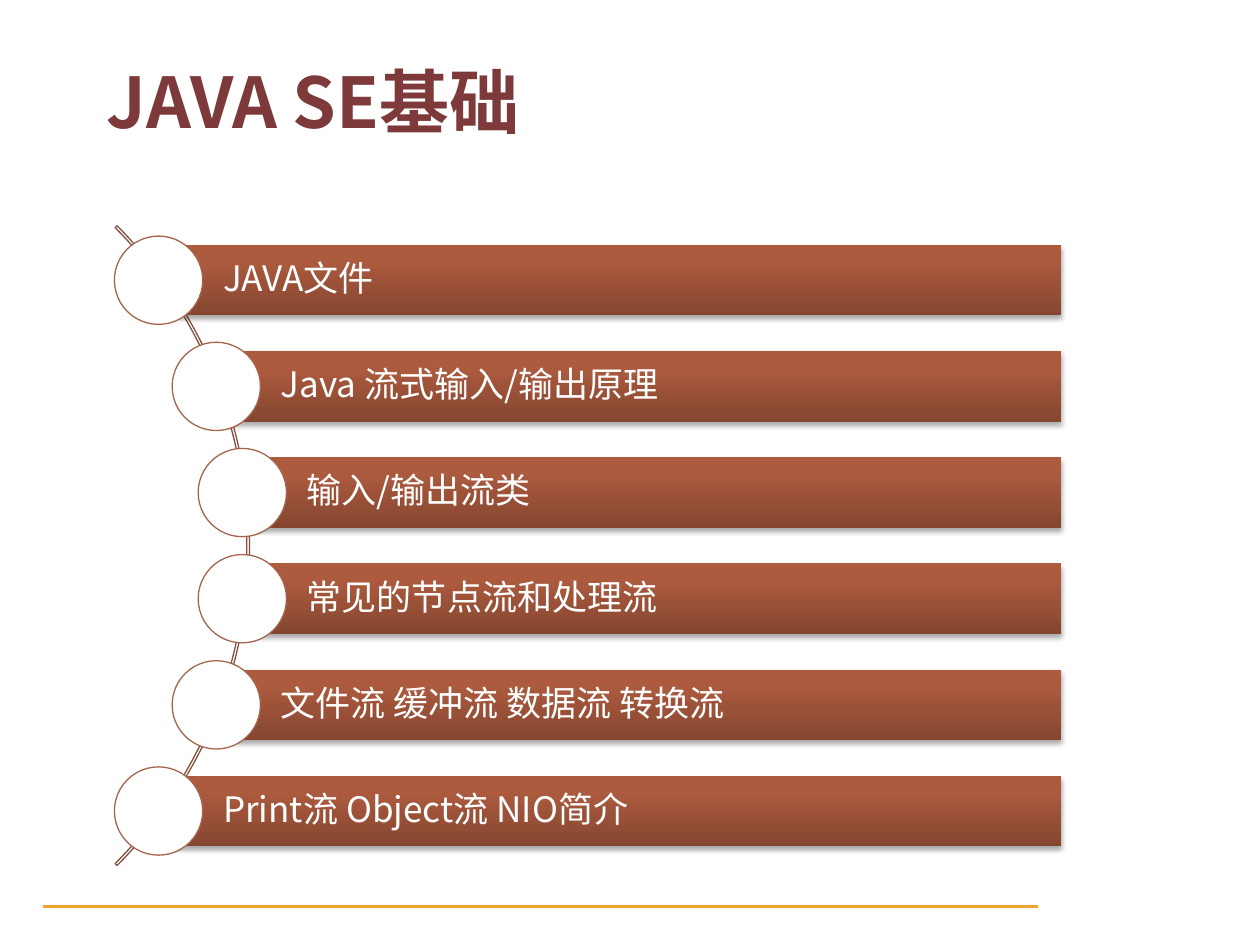
from dataclasses import dataclass
from math import sqrt

from lxml.etree import SubElement
from pptx import Presentation
from pptx.dml.color import RGBColor
from pptx.enum.shapes import MSO_SHAPE
from pptx.enum.text import MSO_ANCHOR, PP_ALIGN
from pptx.oxml.ns import qn
from pptx.util import Cm, Pt

FONT = "Noto Sans CJK SC"
BAR_GRADIENT = [(0, "854630"), (80, "AD5B3F"), (100, "AF5A3D")]

# Geometry in centimetres: topics sit along a circle around the arc centre
ARC_X, ARC_Y, ARC_SIZE = -4.09, 11.0, 18.24
TOPIC_RADIUS, TOPIC_STEP = 9.04, 2.14
BAR_RIGHT, BAR_HEIGHT, DOT_SIZE = 21.39, 1.42, 1.78

TOPICS = [
    "JAVA文件",
    "Java 流式输入/输出原理",
    "输入/输出流类",
    "常见的节点流和处理流",
    "文件流 缓冲流 数据流 转换流",
    "Print流 Object流 NIO简介",
]


@dataclass
class Topic:
    text: str
    center_x: float
    center_y: float


def color(value: str) -> RGBColor:
    return RGBColor.from_string(value)


def apply_format(target, values: dict) -> None:
    for name, value in values.items():
        setattr(target, name, value)


def add_plain_shape(shapes, kind, left, top, width, height,
                    fill=None, line=None, line_width=0.75):
    shape = shapes.add_shape(kind, Cm(left), Cm(top), Cm(width), Cm(height))
    shape.shadow.inherit = False
    if fill:
        shape.fill.solid()
        shape.fill.fore_color.rgb = color(fill)
    else:
        shape.fill.background()
    if line:
        shape.line.color.rgb = color(line)
        shape.line.width = Pt(line_width)
    else:
        shape.line.fill.background()
    return shape


def write_text(shape, text: str, frame_format: dict,
               paragraph_format: dict, font_format: dict, font_color: str) -> None:
    apply_format(shape.text_frame, frame_format)
    paragraph = shape.text_frame.paragraphs[0]
    apply_format(paragraph, paragraph_format)
    run = paragraph.add_run()
    run.text = text
    apply_format(run.font, {"name": FONT, **font_format})
    run.font.color.rgb = color(font_color)
    SubElement(run.font._element, qn("a:ea"), typeface=FONT)


def set_bar_gradient(shape) -> None:
    shape.fill.gradient()
    shape.fill.gradient_angle = 90
    stops = shape._element.spPr.find(".//" + qn("a:gsLst"))
    for stop in list(stops):
        stops.remove(stop)
    for position, value in BAR_GRADIENT:
        stop = SubElement(stops, qn("a:gs"), pos=str(position * 1000))
        SubElement(stop, qn("a:srgbClr"), val=value)


def set_bar_shadow(shape) -> None:
    effects = shape._element.spPr.find(qn("a:effectLst"))
    shadow = SubElement(effects, qn("a:outerShdw"), blurRad=str(Pt(3.1)),
                        dist=str(Pt(1.8)), dir="5400000", rotWithShape="0")
    shadow_color = SubElement(shadow, qn("a:srgbClr"), val="000000")
    SubElement(shadow_color, qn("a:alpha"), val="35000")


def add_topic(shapes, topic: Topic) -> None:
    bar = add_plain_shape(shapes, MSO_SHAPE.RECTANGLE, topic.center_x,
                          topic.center_y - BAR_HEIGHT / 2,
                          BAR_RIGHT - topic.center_x, BAR_HEIGHT)
    set_bar_gradient(bar)
    set_bar_shadow(bar)
    write_text(
        bar, topic.text,
        {"vertical_anchor": MSO_ANCHOR.MIDDLE, "word_wrap": True,
         "margin_left": Cm(1.3), "margin_right": Cm(0.15),
         "margin_top": Cm(0.15), "margin_bottom": Cm(0.15)},
        {"alignment": PP_ALIGN.LEFT, "line_spacing": 0.9},
        {"size": Pt(20)}, "FFFFFF")
    add_plain_shape(shapes, MSO_SHAPE.OVAL, topic.center_x - DOT_SIZE / 2,
                    topic.center_y - DOT_SIZE / 2, DOT_SIZE, DOT_SIZE,
                    "FFFFFF", "A5644E")


presentation = Presentation()
presentation.slide_width, presentation.slide_height = Cm(25.4), Cm(19.05)
slide = presentation.slides.add_slide(presentation.slide_layouts[5])

# Title
title = slide.shapes.title
apply_format(title, {"left": Cm(1.9), "top": Cm(1.07),
                     "width": Cm(20.6), "height": Cm(1.9)})
write_text(title, "JAVA SE基础",
           {"vertical_anchor": MSO_ANCHOR.MIDDLE, "word_wrap": True},
           {"alignment": PP_ALIGN.LEFT},
           {"size": Pt(40), "bold": True}, "7E3A3A")

# Footer rule
add_plain_shape(slide.shapes, MSO_SHAPE.RECTANGLE, 0.84, 18.21, 20.12, 0.13,
                "F0A22E", "FFFFFF", 2)

# Arc behind the topics
arc = add_plain_shape(slide.shapes, MSO_SHAPE.BLOCK_ARC,
                      ARC_X - ARC_SIZE / 2, ARC_Y - ARC_SIZE / 2,
                      ARC_SIZE, ARC_SIZE, line="84503E")
for index, value in enumerate((189, 27, 0.003)):
    arc.adjustments[index] = value

# Topic bars with their dots
for index, text in enumerate(TOPICS):
    offset = (index - (len(TOPICS) - 1) / 2) * TOPIC_STEP
    center_x = ARC_X + sqrt(TOPIC_RADIUS ** 2 - offset ** 2)
    add_topic(slide.shapes, Topic(text, center_x, ARC_Y + offset))

presentation.save("out.pptx")
